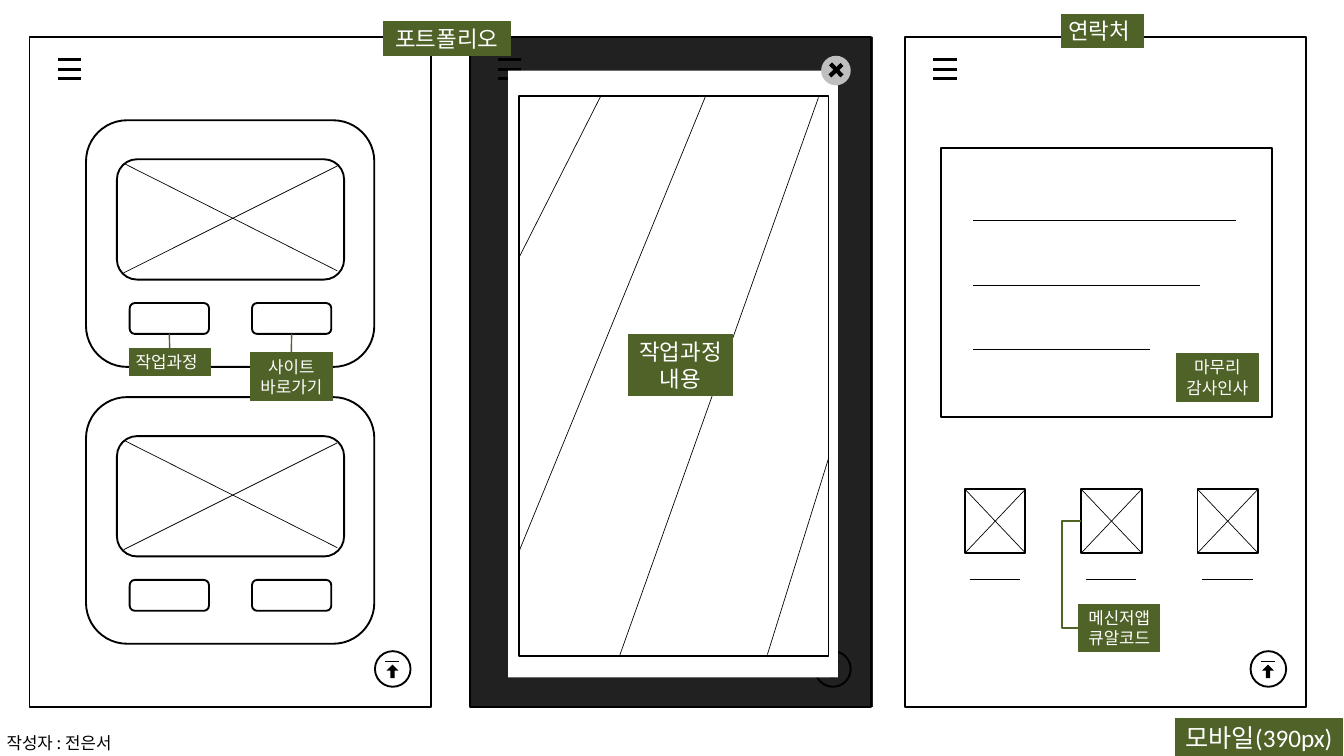
from typing import NamedTuple

from lxml import etree
from pptx import Presentation
from pptx.dml.color import RGBColor
from pptx.enum.shapes import MSO_CONNECTOR, MSO_SHAPE
from pptx.enum.text import MSO_ANCHOR, MSO_AUTO_SIZE, PP_ALIGN
from pptx.oxml.ns import qn
from pptx.shapes.autoshape import Shape
from pptx.shapes.connector import Connector
from pptx.slide import Slide
from pptx.util import Emu, Pt

SCALE = 9144  # EMU per px, 100 px to the inch

BLACK = RGBColor(0x00, 0x00, 0x00)
WHITE = RGBColor(0xFF, 0xFF, 0xFF)
GREEN = RGBColor(0x4F, 0x62, 0x28)
GREY = RGBColor(0xBF, 0xBF, 0xBF)

RECT = MSO_SHAPE.RECTANGLE
ROUND = MSO_SHAPE.ROUNDED_RECTANGLE
OVAL = MSO_SHAPE.OVAL
ARROW = MSO_SHAPE.UP_ARROW
STRAIGHT = MSO_CONNECTOR.STRAIGHT
ELBOW = MSO_CONNECTOR.ELBOW
LEFT = PP_ALIGN.LEFT
CENTER = PP_ALIGN.CENTER
MIDDLE = MSO_ANCHOR.MIDDLE
FIT = MSO_AUTO_SIZE.SHAPE_TO_FIT_TEXT
TOP_SIDE, LEFT_SIDE, BOTTOM_SIDE = 0, 1, 2


class Box(NamedTuple):
    x: int
    y: int
    w: int
    h: int


class Label(NamedTuple):
    box: Box
    lines: tuple[str, ...]
    size: int
    align: PP_ALIGN = CENTER


class Card(NamedTuple):
    x: int
    y: int


class Tile(NamedTuple):
    x: int
    y: int


SIZE_TAG = Label(Box(1749, 1069, 249, 56), ("모바일(390px)",), 27)
WORK_TAG = Label(Box(192, 519, 121, 40), ("작업과정",), 18, LEFT)
SITE_TAG = Label(Box(373, 525, 121, 71), ("사이트", "바로가기"), 18)
POPUP_TAG = Label(Box(935, 498, 155, 91), ("작업과정", "내용"), 24)
FOLIO_TAG = Label(Box(571, 32, 188, 50), ("포트폴리오",), 24)
CONTACT_TAG = Label(Box(1580, 21, 121, 50), ("연락처",), 24, LEFT)
CODE_TAG = Label(Box(1605, 899, 121, 71), ("메신저앱", "큐알코드"), 18)
THANKS_TAG = Label(Box(1751, 526, 121, 71), ("마무리", "감사인사"), 18)

LEFT_X, MID_X, RIGHT_X = 44, 699, 1347
CARDS = (Card(128, 179), Card(128, 591))
TILES = tuple(Tile(1436 + 173 * i, 728) for i in range(3))
STRIPES = ((894, 143, 773, 382), (1050, 143, 773, 819),
           (1218, 145, 922, 976), (1233, 682, 1142, 974))
CROSS = ((1235, 113, 1253, 96), (1253, 113, 1236, 95))


def px(n: int) -> Emu:
    return Emu(n * SCALE)


def add_box(slide: Slide, kind: MSO_SHAPE, box: Box, fill: RGBColor | None = None,
            edge: RGBColor | None = BLACK, width: float = 2) -> Shape:
    shape = slide.shapes.add_shape(kind, *map(px, box))
    shape.shadow.inherit = False
    if fill is None:
        shape.fill.background()
    else:
        shape.fill.solid()
        shape.fill.fore_color.rgb = fill
    if edge is None:
        shape.line.fill.background()
    else:
        shape.line.color.rgb = edge
        shape.line.width = Pt(width)
    return shape


def add_line(slide: Slide, x1: int, y1: int, x2: int, y2: int, width: float = 0.75,
             color: RGBColor = BLACK, kind: MSO_CONNECTOR = STRAIGHT) -> Connector:
    line = slide.shapes.add_connector(kind, px(x1), px(y1), px(x2), px(y2))
    line.line.color.rgb = color
    line.line.width = Pt(width)
    etree.SubElement(line._element.spPr, qn("a:effectLst"))
    return line


def add_text(shape: Shape, label: Label, font: str, color: RGBColor) -> None:
    frame = shape.text_frame
    frame.word_wrap = False
    frame.auto_size = FIT
    for i, text in enumerate(label.lines):
        para = frame.add_paragraph() if i else frame.paragraphs[0]
        para.alignment = label.align
        run = para.add_run()
        run.text = text
        run.font.name = font
        run.font.size = Pt(label.size)
        run.font.color.rgb = color


def add_label(slide: Slide, label: Label) -> Shape:
    shape = add_box(slide, RECT, label.box, GREEN, GREEN, 0.75)
    shape.text_frame.vertical_anchor = MIDDLE
    add_text(shape, label, "Calibri", WHITE)
    return shape


def add_phone(slide: Slide, x: int) -> None:
    """Draw a phone frame with its menu icon and its back-to-top button."""
    add_box(slide, RECT, Box(x, 55, 597, 997))
    for y in (89, 103, 117):
        add_line(slide, x + 42, y, x + 77, y, 3)
    add_box(slide, OVAL, Box(x + 514, 969, 53, 53))
    arrow = add_box(slide, ARROW, Box(x + 531, 989, 18, 20), BLACK, None)
    arrow.adjustments[0] = 0.36
    add_line(slide, x + 529, 984, x + 550, 984, 1)


def add_card(slide: Slide, card: Card) -> list[Shape]:
    """Draw a work card and return its two buttons."""
    x, y = card
    add_box(slide, ROUND, Box(x, y, 429, 367), WHITE)
    add_box(slide, ROUND, Box(x + 46, y + 58, 338, 179), WHITE)
    keys = [add_box(slide, ROUND, Box(x + dx, y + 272, 118, 46), WHITE)
            for dx in (65, 247)]
    add_line(slide, x + 56, y + 227, x + 374, y + 68)
    add_line(slide, x + 56, y + 64, x + 374, y + 224)
    return keys


def add_tile(slide: Slide, tile: Tile) -> Shape:
    x, y = tile
    frame = add_box(slide, RECT, Box(x, y, 90, 95), WHITE)
    add_line(slide, x, y + 95, x + 90, y)
    add_line(slide, x + 90, y + 95, x, y)
    add_line(slide, x + 7, y + 134, x + 82, y + 134)
    return frame


def add_folio(slide: Slide) -> None:
    add_phone(slide, LEFT_X)
    keys, _ = [add_card(slide, card) for card in CARDS]
    for key, tag in zip(keys, (WORK_TAG, SITE_TAG)):
        label = add_label(slide, tag)
        mid = tag.box.x + 60
        stub = add_line(slide, mid, 497, mid, tag.box.y, 1.5, GREEN)
        stub.begin_connect(key, BOTTOM_SIDE)
        stub.end_connect(label, TOP_SIDE)


def add_popup(slide: Slide) -> None:
    add_phone(slide, MID_X)
    shade = add_box(slide, RECT, Box(MID_X, 55, 600, 997), BLACK, None)
    tone = shade._element.spPr.find(qn("a:solidFill"))[0]
    etree.SubElement(tone, qn("a:alpha"), val="87000")
    add_box(slide, RECT, Box(756, 105, 491, 903), WHITE, None)
    add_box(slide, RECT, Box(773, 143, 460, 833))
    for stripe in STRIPES:
        add_line(slide, *stripe)
    add_box(slide, OVAL, Box(1222, 83, 44, 44), GREY, None)
    for stroke in CROSS:
        add_line(slide, *stroke, 4.5)
    add_label(slide, POPUP_TAG)
    add_label(slide, FOLIO_TAG)


def add_contact(slide: Slide) -> None:
    add_phone(slide, RIGHT_X)
    add_label(slide, CONTACT_TAG)
    tiles = [add_tile(slide, tile) for tile in TILES]
    add_box(slide, RECT, Box(1400, 220, 493, 400))
    for i, end in enumerate((1840, 1785, 1712)):
        y = 328 + 96 * i
        add_line(slide, 1448, y, end, y)
    code = add_label(slide, CODE_TAG)
    bend = add_line(slide, 1609, 776, 1605, 935, 2.25, GREEN, ELBOW)
    bend.begin_connect(tiles[1], LEFT_SIDE)
    bend.end_connect(code, LEFT_SIDE)
    guides = bend._element.spPr.find(qn("a:prstGeom")).find(qn("a:avLst"))
    etree.SubElement(guides, qn("a:gd"), name="adj1", fmla="val 725000")
    add_label(slide, THANKS_TAG)


def main() -> None:
    deck = Presentation()
    deck.slide_width, deck.slide_height = px(2000), px(1125)
    slide = deck.slides.add_slide(deck.slide_layouts[6])
    add_label(slide, SIZE_TAG)
    add_folio(slide)
    add_popup(slide)
    add_contact(slide)
    author = Label(Box(0, 1085, 190, 40), ("작성자 : 전은서",), 18, LEFT)
    note = slide.shapes.add_textbox(*map(px, author.box))
    add_text(note, author, "Noto Sans CJK KR", BLACK)
    deck.save("out.pptx")


if __name__ == "__main__":
    main()
